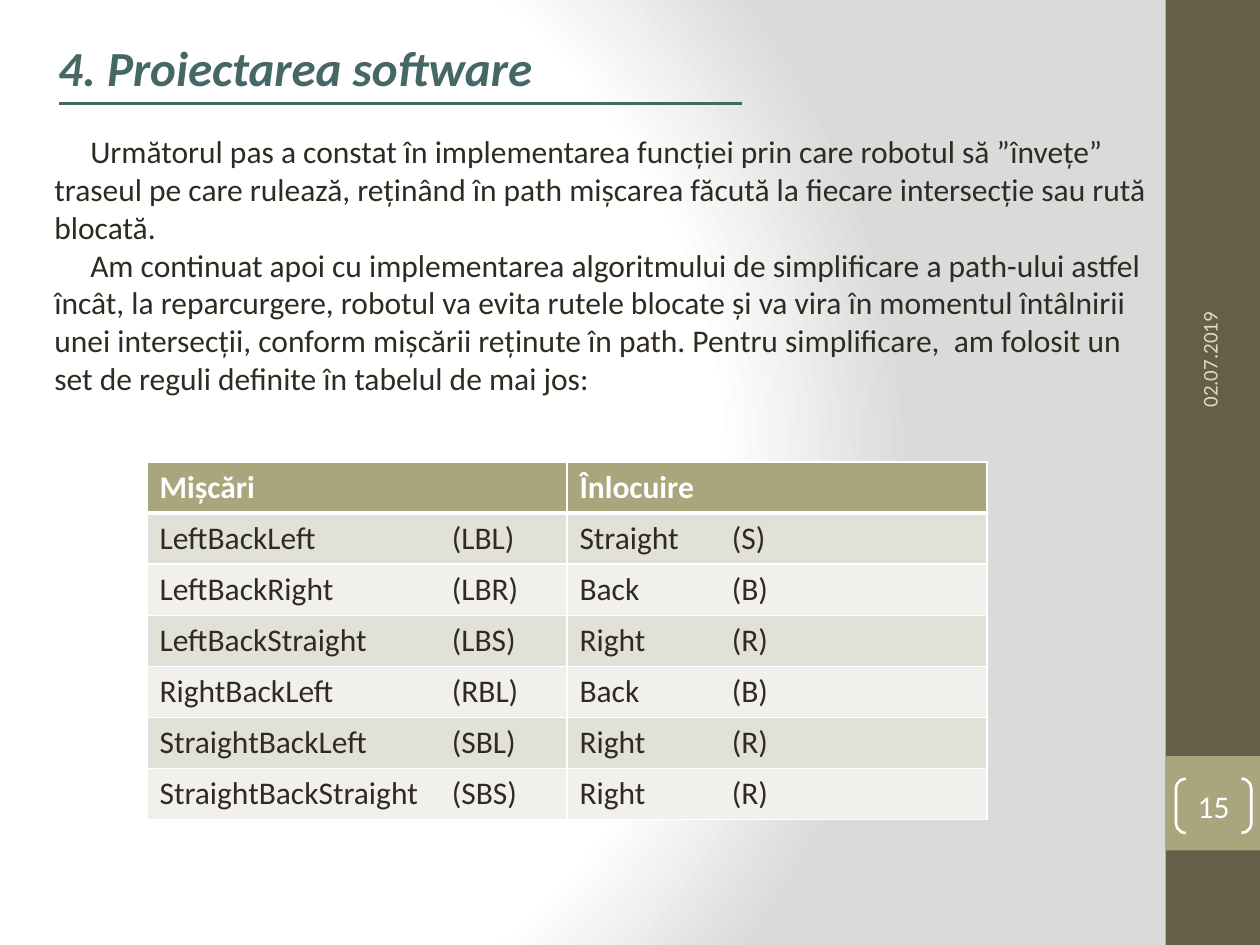
"""Build the slide about the path simplification rules."""
from dataclasses import dataclass

from pptx import Presentation
from pptx.dml.color import RGBColor
from pptx.enum.shapes import MSO_CONNECTOR, MSO_SHAPE
from pptx.enum.text import MSO_ANCHOR, MSO_AUTO_SIZE, PP_ALIGN
from pptx.oxml import parse_xml
from pptx.oxml.ns import nsdecls
from pptx.util import Pt


@dataclass(frozen=True)
class Theme:
    font: str = "Calibri"
    ink: str = "2F2B20"
    accent: str = "456867"
    sidebar: str = "675E47"
    olive: str = "A9A57C"
    sand: str = "DFDCB7"
    band_dark: str = "E2E1D7"
    band_light: str = "F1F0EC"
    white: str = "FFFFFF"
    grey: str = "DADADA"
    title_size: int = 28
    body_size: int = 18
    small_size: int = 12


TITLE = "4. Proiectarea software"
BODY = [
    "Următorul pas a constat în implementarea funcției prin care robotul să ”învețe” "
    "traseul pe care rulează, reținând în path mișcarea făcută la fiecare intersecție "
    "sau rută blocată.",
    "Am continuat apoi cu implementarea algoritmului de simplificare a path-ului astfel "
    "încât, la reparcurgere, robotul va evita rutele blocate și va vira în momentul "
    "întâlnirii unei intersecții, conform mișcării reținute în path. Pentru simplificare,  "
    "am folosit un set de reguli definite în tabelul de mai jos:",
]
RULES = [
    ("Mișcări", "Înlocuire"),
    ("LeftBackLeft\t(LBL)", "Straight\t(S)"),
    ("LeftBackRight\t(LBR)", "Back\t(B)"),
    ("LeftBackStraight\t(LBS)", "Right\t(R)"),
    ("RightBackLeft\t(RBL)", "Back\t(B)"),
    ("StraightBackLeft\t(SBL)", "Right\t(R)"),
    ("StraightBackStraight\t(SBS)", "Right\t(R)"),
]
TAB_STOPS = (167, 87)


def apply(target, formats):
    """Set every attribute named in formats on target."""
    for name, value in formats.items():
        setattr(target, name, value)


class SlideBuilder:
    """Hold the theme and the current page, and add elements to it."""

    def __init__(self, page, theme):
        """Keep the page and the theme."""
        self.page = page
        self.theme = theme

    def background(self):
        """Fill the page with a circular gradient."""
        theme = self.theme
        self.page.background.fill.solid()
        properties = self.page.element.xpath(".//p:bgPr")[0]
        stops = "".join(
            f'<a:gs pos="{position * 1000}"><a:srgbClr val="{color}"/></a:gs>'
            for position, color in ((0, theme.white), (75, theme.white), (100, theme.grey))
        )
        properties[0] = parse_xml(
            f'<a:gradFill {nsdecls("a")} rotWithShape="1"><a:gsLst>{stops}</a:gsLst>'
            '<a:path path="circle"><a:fillToRect l="20000" t="50000" r="100000" b="50000"/>'
            "</a:path></a:gradFill>"
        )

    def span(self, para, text, color, **formats):
        """Add one formatted span to a paragraph."""
        span = para.add_run()
        span.text = text
        span.font.color.rgb = RGBColor.from_string(color)
        defaults = {"name": self.theme.font, "size": Pt(self.theme.body_size)}
        apply(span.font, defaults | formats)

    def title(self, text, left, top, width, height):
        """Move and format the title placeholder."""
        box = self.page.shapes.title
        apply(box, {"left": Pt(left), "top": Pt(top), "width": Pt(width), "height": Pt(height)})
        apply(box.text_frame, {
            "word_wrap": True,
            "auto_size": MSO_AUTO_SIZE.NONE,
            "vertical_anchor": MSO_ANCHOR.TOP,
        })
        para = box.text_frame.paragraphs[0]
        para.alignment = PP_ALIGN.LEFT
        self.span(para, text, self.theme.accent, size=Pt(self.theme.title_size),
                  bold=True, italic=True)

    def text(self, texts, left, top, width, height, color, indent=0,
             anchor=MSO_ANCHOR.TOP, **formats):
        """Add a wrapped text box with one paragraph for each text."""
        box = self.page.shapes.add_textbox(Pt(left), Pt(top), Pt(width), Pt(height))
        frame = box.text_frame
        apply(frame, {"word_wrap": True, "vertical_anchor": anchor})
        for index, text in enumerate(texts):
            para = frame.add_paragraph() if index else frame.paragraphs[0]
            if indent:
                para._p.get_or_add_pPr().set("indent", str(Pt(indent)))
            self.span(para, text, color, **formats)
        return box

    def rectangle(self, left, top, width, height, color):
        """Add a filled rectangle without an outline."""
        box = self.page.shapes.add_shape(
            MSO_SHAPE.RECTANGLE, Pt(left), Pt(top), Pt(width), Pt(height))
        box.shadow.inherit = False
        box.fill.solid()
        box.fill.fore_color.rgb = RGBColor.from_string(color)
        box.line.fill.background()

    def page_number(self, text, left, top, width, height):
        """Add the page number between brackets."""
        box = self.page.shapes.add_shape(
            MSO_SHAPE.DOUBLE_BRACKET, Pt(left), Pt(top), Pt(width), Pt(height))
        box.adjustments[0] = 0.18
        box.shadow.inherit = False
        box.fill.background()
        box.line.color.rgb = RGBColor.from_string(self.theme.white)
        box.line.width = Pt(1.5)
        margins = dict.fromkeys(
            ("margin_left", "margin_top", "margin_right", "margin_bottom"), 0)
        apply(box.text_frame, margins | {"vertical_anchor": MSO_ANCHOR.MIDDLE})
        para = box.text_frame.paragraphs[0]
        para.alignment = PP_ALIGN.CENTER
        self.span(para, text, self.theme.white)

    def rule(self, left, right, top):
        """Add a horizontal line."""
        line = self.page.shapes.add_connector(
            MSO_CONNECTOR.STRAIGHT, Pt(left), Pt(top), Pt(right), Pt(top))
        line.line.color.rgb = RGBColor.from_string(self.theme.accent)
        line.line.width = Pt(1.5)
        line._element.spPr.append(parse_xml(f'<a:effectLst {nsdecls("a")}/>'))

    def borders(self, cell, widths):
        """Draw white borders of the given widths around a cell."""
        properties = cell._tc.get_or_add_tcPr()
        for index, (side, width) in enumerate(widths.items()):
            properties.insert(index, parse_xml(
                f'<a:ln{side} {nsdecls("a")} w="{Pt(width)}"><a:solidFill>'
                f'<a:srgbClr val="{self.theme.white}"/></a:solidFill></a:ln{side}>'))

    def table(self, rows, tab_stops, left, top, width, height):
        """Add a banded table whose columns have one tab stop each."""
        theme = self.theme
        table = self.page.shapes.add_table(
            len(rows), len(tab_stops), Pt(left), Pt(top), Pt(width), Pt(height)).table
        for row, texts in enumerate(rows):
            header = row == 0
            band = theme.band_dark if row % 2 else theme.band_light
            widths = {"L": 1, "R": 1, "T": 3 if row == 1 else 1, "B": 3 if header else 1}
            for column, text in enumerate(texts):
                cell = table.cell(row, column)
                cell.fill.solid()
                cell.fill.fore_color.rgb = RGBColor.from_string(theme.olive if header else band)
                self.borders(cell, widths)
                para = cell.text_frame.paragraphs[0]
                if "\t" in text:
                    para._p.get_or_add_pPr().append(parse_xml(
                        f'<a:tabLst {nsdecls("a")}>'
                        f'<a:tab pos="{Pt(tab_stops[column])}" algn="l"/></a:tabLst>'))
                self.span(para, text, theme.white if header else theme.ink, bold=header)


def main():
    """Build the deck and save it."""
    theme = Theme()
    deck = Presentation()
    apply(deck, {"slide_width": Pt(720), "slide_height": Pt(540)})
    builder = SlideBuilder(deck.slides.add_slide(deck.slide_layouts[5]), theme)
    builder.background()
    builder.rectangle(666, 0, 54, 540, theme.sidebar)
    builder.rectangle(666, 432, 54, 54, theme.olive)
    builder.text(BODY, 24, 72, 644, 160, theme.ink, indent=20.5)
    builder.table(RULES, TAB_STOPS, 84, 264, 480, 204.4)
    date = builder.text(["02.07.2019"], 595, 129.5, 192, 29, theme.sand,
                        anchor=MSO_ANCHOR.MIDDLE, size=Pt(theme.small_size))
    date.rotation = 270
    builder.page_number("15", 672, 445, 43, 31)
    builder.title(TITLE, 26, 18, 290, 41)
    builder.rule(34, 424, 59)
    deck.save("out.pptx")


if __name__ == "__main__":
    main()
